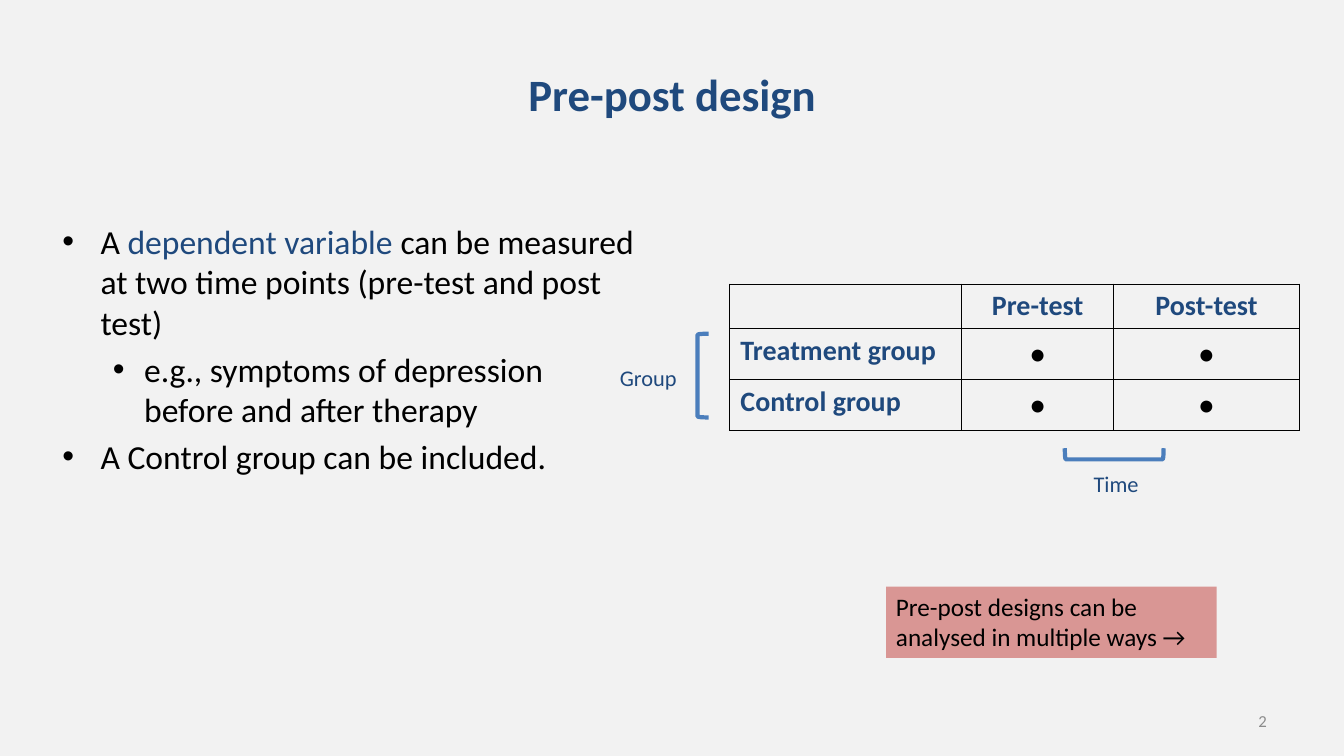
from lxml import etree
from pptx import Presentation
from pptx.dml.color import RGBColor
from pptx.enum.shapes import MSO_SHAPE as SHAPE
from pptx.enum.text import MSO_ANCHOR as ANCHOR, MSO_AUTO_SIZE as AUTO, PP_ALIGN as ALIGN
from pptx.oxml.ns import qn
from pptx.util import Cm, Pt

NAVY = RGBColor(0x1F, 0x49, 0x7D)
BLUE = RGBColor(0x4B, 0x7E, 0xBC)
BLACK = RGBColor(0, 0, 0)
GREY = RGBColor(0x8C, 0x8C, 0x8C)
PINK = RGBColor(0xD9, 0x96, 0x94)
PAPER = RGBColor(0xF2, 0xF2, 0xF2)
FONT = "Calibri"
INDENTS = [(0.96, -0.96), (2.06, -0.79)]


def style(p, size, color, bold=False, align=ALIGN.LEFT):
    """Format a paragraph and all its runs."""
    p.alignment = align
    for r in p.runs:
        r.font.name, r.font.size, r.font.bold = FONT, Pt(size), bold
        r.font.color.rgb = color


def place(sp, left, top, width, height):
    """Set the position and size of a shape in centimetres."""
    sp.left, sp.top, sp.width, sp.height = map(Cm, (left, top, width, height))


def add_title(s, text):
    """Fill the title placeholder."""
    sp = s.shapes.title
    place(sp, 1.7, 0.76, 30.48, 3.18)
    tf = sp.text_frame
    tf.text = text
    tf.vertical_anchor = ANCHOR.MIDDLE
    style(tf.paragraphs[0], 32, NAVY, True, ALIGN.CENTER)


def add_bullets(s, items):
    """Fill the body placeholder with (level, [(text, color), ...]) items."""
    sp = s.placeholders[1]
    place(sp, 1.32, 5.44, 14.96, 11.43)
    tf = sp.text_frame
    tf.auto_size = AUTO.NONE
    for i, (level, parts) in enumerate(items):
        p = tf.paragraphs[0] if i == 0 else tf.add_paragraph()
        p.level = level
        for text, _ in parts:
            p.add_run().text = text
        style(p, 24, BLACK)
        for r, (_, color) in zip(p.runs, parts):
            r.font.color.rgb = color
        p.space_before = Pt(4.8)
        pPr = p._p.get_or_add_pPr()
        margin, indent = INDENTS[level]
        pPr.set("marL", str(Cm(margin)))
        pPr.set("indent", str(Cm(indent)))
        etree.SubElement(pPr, qn("a:buFont"), typeface="Arial")
        etree.SubElement(pPr, qn("a:buChar"), char="•")


def add_borders(cell):
    """Draw thin black lines on all four sides of a cell."""
    tcPr = cell._tc.get_or_add_tcPr()
    for side in ("lnL", "lnR", "lnT", "lnB"):
        ln = etree.SubElement(tcPr, qn(f"a:{side}"), w=str(Pt(1)))
        fill = etree.SubElement(ln, qn("a:solidFill"))
        etree.SubElement(fill, qn("a:srgbClr"), val=str(BLACK))


def add_design_table(s, rows, widths, heights):
    """Add the bordered table of groups by time points."""
    table = s.shapes.add_table(len(rows), len(widths), Cm(18.39), Cm(7.16),
                               Cm(sum(widths)), Cm(sum(heights))).table
    table.first_row = table.horz_banding = False
    for col, width in zip(table.columns, widths):
        col.width = Cm(width)
    for i, (row, height) in enumerate(zip(rows, heights)):
        table.rows[i].height = Cm(height)
        for j, text in enumerate(row):
            cell = table.cell(i, j)
            add_borders(cell)
            cell.fill.background()
            cell.margin_left = cell.margin_right = Cm(0.27)
            cell.text = text
            align = ALIGN.CENTER if j else ALIGN.LEFT
            p = cell.text_frame.paragraphs[0]
            if i and j:
                style(p, 24, BLACK, align=align)
            else:
                style(p, 20, NAVY, True, align)


def add_shape(s, kind, box, rotation=0):
    """Add a preset shape without shadow."""
    sp = s.shapes.add_shape(kind, *map(Cm, box))
    sp.shadow.inherit = False
    sp.rotation = rotation
    return sp


def add_bracket(s, box, rotation=0):
    """Add a blue bracket."""
    sp = add_shape(s, SHAPE.LEFT_BRACKET, box, rotation)
    sp.fill.background()
    sp.line.color.rgb = BLUE
    sp.line.width = Pt(3)


def add_label(s, text, box, size, color, align=ALIGN.LEFT, anchor=ANCHOR.TOP, wrap=False):
    """Add a one-line text box."""
    tf = s.shapes.add_textbox(*map(Cm, box)).text_frame
    tf.text = text
    tf.word_wrap = wrap
    tf.vertical_anchor = anchor
    style(tf.paragraphs[0], size, color, align=align)


def add_note(s, text, box):
    """Add a filled box with wrapped text."""
    sp = add_shape(s, SHAPE.RECTANGLE, box)
    sp.fill.solid()
    sp.fill.fore_color.rgb = PINK
    sp.line.fill.background()
    tf = sp.text_frame
    tf.text = text
    tf.word_wrap = True
    tf.vertical_anchor = ANCHOR.TOP
    style(tf.paragraphs[0], 18, BLACK)


def main():
    """Build the slide and save it."""
    prs = Presentation()
    prs.slide_width, prs.slide_height = Cm(33.87), Cm(19.05)
    s = prs.slides.add_slide(prs.slide_layouts[1])
    s.background.fill.solid()
    s.background.fill.fore_color.rgb = PAPER
    add_title(s, "Pre-post design")
    add_design_table(s, [["", "Pre-test", "Post-test"],
                         ["Treatment group", "•", "•"],
                         ["Control group", "•", "•"]],
                     [5.84, 3.84, 4.67], [1.12, 1.28, 1.28])
    add_bullets(s, [
        (0, [("A ", BLACK), ("dependent variable ", NAVY),
             ("can be measured at two time points (pre-test and post test) ", BLACK)]),
        (1, [("e.g., symptoms of depression before and after therapy", BLACK)]),
        (0, [("A Control group can be included.", BLACK)]),
    ])
    add_label(s, "2", (24.28, 17.65, 7.9, 1.02), 12, GREY, ALIGN.RIGHT, ANCHOR.MIDDLE, True)
    add_bracket(s, (27.94, 10.19, 0.28, 2.49), 270)
    add_label(s, "Time", (27.31, 11.71, 1.65, 0.94), 16, NAVY)
    add_bracket(s, (17.58, 8.41, 0.28, 2.11))
    add_label(s, "Group", (15.37, 9.04, 1.96, 0.94), 16, NAVY)
    add_note(s, "Pre-post designs can be analysed in multiple ways →",
             (22.33, 14.78, 8.33, 1.8))
    prs.save("out.pptx")


main()
